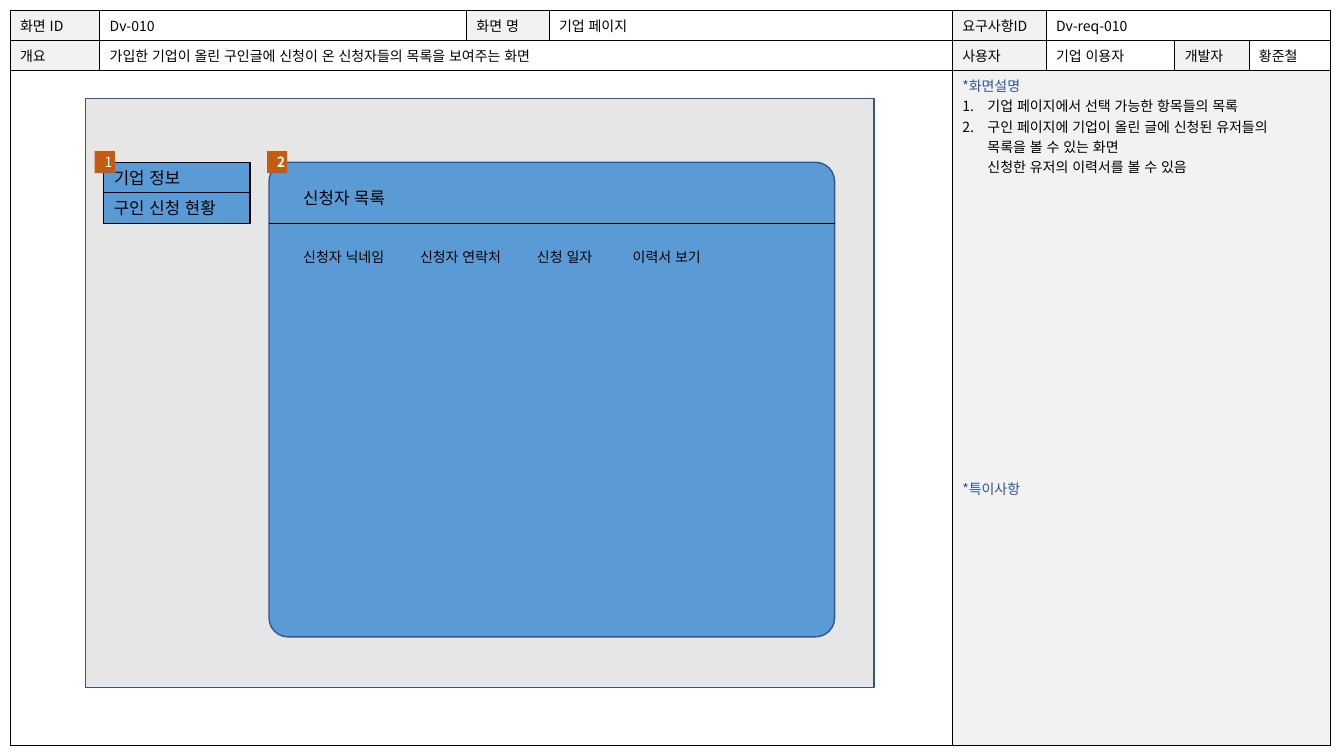
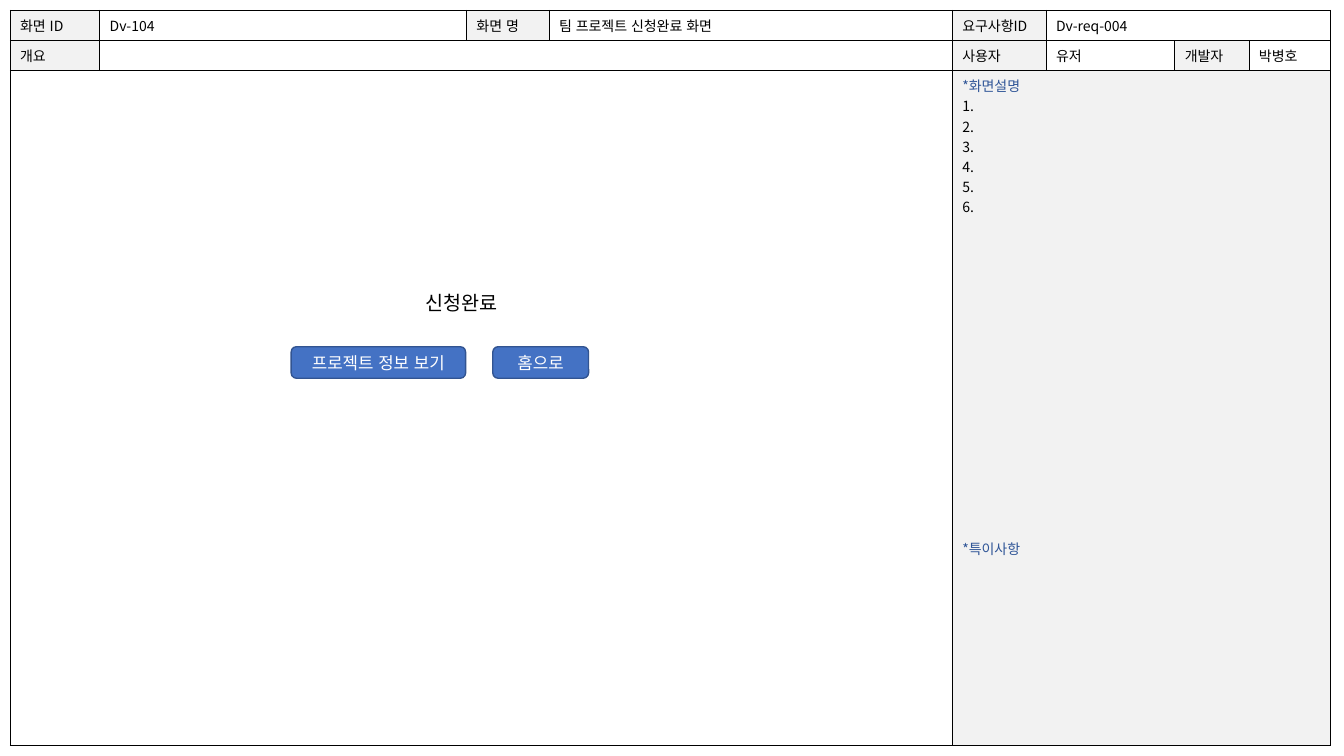
import pptx
import pptx.util
import pptx.dml.color
import pptx.enum.lang
import pptx.enum.shapes
import pptx.enum.text
import pptx.oxml
import pptx.oxml.ns
import lxml.etree

Pt = pptx.util.Pt
qn = pptx.oxml.ns.qn
SHAPE = pptx.enum.shapes.MSO_SHAPE
ALIGN = pptx.enum.text.PP_ALIGN
ANCHOR = pptx.enum.text.MSO_ANCHOR

FONT = "Noto Sans CJK KR"
COLORS = {
    "black": "000000", "white": "FFFFFF", "label": "F2F2F2", "heading": "2F5597",
    "screen": "E7E6E6", "panel": "5B9BD5", "outline": "325491",
    "badge": "C55A11", "button": "4472C4",
}
TABLE_BOX = (7.2, 7.2, 943.5, 525)
COLUMNS = [64, 262, 59, 288, 67, 92, 53, 58.5]
ROWS = [21.5, 21.5, 482]
MERGES = [((0, 5), (0, 7)), ((1, 1), (1, 3)), ((2, 0), (2, 3)), ((2, 4), (2, 7))]
LABELS = {
    (0, 0): "화면 ID", (0, 2): "화면 명", (0, 4): "요구사항ID",
    (1, 0): "개요", (1, 4): "사용자", (1, 6): "개발자",
}
VALUE_CELLS = [(0, 1), (0, 3), (0, 5), (1, 1), (1, 5), (1, 7)]
HEAVY_EDGES = {(2, 3): "R", (2, 4): "LB", (2, 5): "B", (2, 6): "B", (2, 7): "B"}


def rgb(name):
    return pptx.dml.color.RGBColor.from_string(COLORS[name])


def write(p, text, size=10, color="black", bold=False, align=ALIGN.LEFT):
    p.alignment = align
    for i, line in enumerate(text.split("\n")):
        if i:
            p.add_line_break()
        r = p.add_run()
        r.text = line
        r.font.color.rgb = rgb(color)
        values = {"size": Pt(size), "name": FONT, "bold": bold,
                  "language_id": pptx.enum.lang.MSO_LANGUAGE_ID.KOREAN}
        for key, value in values.items():
            setattr(r.font, key, value)
        ea = lxml.etree.SubElement(r.font._element, qn("a:ea"))
        ea.set("typeface", FONT)
    for br in p._p.findall(qn("a:br")):
        lxml.etree.SubElement(br, qn("a:rPr")).set("sz", str(size * 100))


def add_text(s, box, text, wrap=True, **style):
    sp = s.shapes.add_textbox(*map(Pt, box))
    sp.text_frame.word_wrap = wrap
    write(sp.text_frame.paragraphs[0], text, **style)


def add_box(s, kind, box, fill, line=None, width=1, text="", anchor=ANCHOR.MIDDLE, **style):
    sp = s.shapes.add_shape(kind, *map(Pt, box))
    sp.shadow.inherit = False
    sp.fill.solid()
    sp.fill.fore_color.rgb = rgb(fill)
    if line:
        sp.line.color.rgb = rgb(line)
        sp.line.width = Pt(width)
    else:
        sp.line.fill.background()
    if text:
        sp.text_frame.vertical_anchor = anchor
        write(sp.text_frame.paragraphs[0], text, **style)
    return sp


def add_borders(cell, heavy):
    tcPr = cell._tc.get_or_add_tcPr()
    for i, edge in enumerate("LRTB"):
        width = Pt(1 if edge in heavy else 0.5)
        tcPr.insert(i, pptx.oxml.parse_xml(
            f'<a:ln{edge} xmlns:a="http://schemas.openxmlformats.org/drawingml/2006/main" w="{width}">'
            f'<a:solidFill><a:srgbClr val="{COLORS["black"]}"/></a:solidFill></a:ln{edge}>'))


def add_description(tf, items, numbered, gap):
    write(tf.paragraphs[0], "*화면설명", color="heading")
    for item in items:
        p = tf.add_paragraph()
        write(p, item)
        if numbered:
            pPr = p._p.get_or_add_pPr()
            for key, value in {"marL": Pt(18), "indent": -Pt(18)}.items():
                pPr.set(key, str(value))
            lxml.etree.SubElement(pPr, qn("a:buFont")).set("typeface", FONT)
            lxml.etree.SubElement(pPr, qn("a:buAutoNum")).set("type", "arabicPeriod")
    p = tf.add_paragraph()
    p.space_before = Pt(gap)
    write(p, "*특이사항", color="heading")


def add_frame(s, box, values, items, gap, numbered=False):
    table = s.shapes.add_table(len(ROWS), len(COLUMNS), *map(Pt, box)).table
    table.first_row = table.horz_banding = False
    for column, width in zip(table.columns, COLUMNS):
        column.width = Pt(width)
    for row, height in zip(table.rows, ROWS):
        row.height = Pt(height)
    for first, last in MERGES:
        table.cell(*first).merge(table.cell(*last))
    texts = {**LABELS, **dict(zip(VALUE_CELLS, values))}
    for i in range(len(ROWS)):
        for j in range(len(COLUMNS)):
            cell = table.cell(i, j)
            shaded = (i, j) in LABELS or (i == 2 and j >= 4)
            cell.fill.solid()
            cell.fill.fore_color.rgb = rgb("label" if shaded else "white")
            add_borders(cell, HEAVY_EDGES.get((i, j), ""))
            p = cell.text_frame.paragraphs[0]
            if texts.get((i, j)):
                write(p, texts[i, j])
            elif (i, j) != (2, 4):
                lxml.etree.SubElement(p._p, qn("a:endParaRPr")).set("sz", "1000")
    add_description(table.cell(2, 4).text_frame, items, numbered, gap)


def add_menu(s, box, items):
    x, y, w, h = box
    step = h / len(items)
    for i, item in enumerate(items):
        add_box(s, SHAPE.RECTANGLE, (x, y + i * step, w, step), "panel", "black", 0.75,
                text=item, anchor=ANCHOR.TOP, size=12)


def add_applicants(s, box):
    x, y, w, h = box
    sp = add_box(s, SHAPE.ROUNDED_RECTANGLE, box, "panel", "outline")
    sp.adjustments[0] = 0.04
    add_text(s, (x + 17.3, y + 14.4, 83.5, 21.8), "신청자 목록", size=12)
    rule = s.shapes.add_connector(pptx.enum.shapes.MSO_CONNECTOR.STRAIGHT,
                                  Pt(x), Pt(y + 43.7), Pt(x + w), Pt(y + 43.7))
    rule.line.color.rgb = rgb("black")
    rule.line.width = Pt(0.5)
    lxml.etree.SubElement(rule._element.spPr, qn("a:effectLst"))
    headings = {"신청자 닉네임": 17.3, "신청자 연락처": 100.8, "신청 일자": 184.3, "이력서 보기": 252.7}
    for text, left in headings.items():
        add_text(s, (x + left, y + 58.3, 83.5, 20.2), text)


def add_company_page(s, box):
    x, y, w, h = box
    add_box(s, SHAPE.RECTANGLE, box, "screen", "outline")
    add_menu(s, (x + 13, y + 45.4, 104.4, 43.6), ["기업 정보", "구인 신청 현황"])
    add_applicants(s, (x + 131, y + 45.4, 404, 339))
    for text, left, bold in [("1", 6.5, False), ("2", 129.6, True)]:
        add_box(s, SHAPE.RECTANGLE, (x + left, y + 37.4, 14.4, 15.8), "badge",
                text=text, color="white", bold=bold, align=ALIGN.CENTER)


def add_completion(s, box):
    x, y, w, h = box
    add_text(s, (x + 88.6, y, 71.3, 24.5), "신청완료", wrap=False, size=14)
    for text, left, width in [("프로젝트 정보 보기", 0, 124.6), ("홈으로", 144, 68.4)]:
        add_box(s, SHAPE.ROUNDED_RECTANGLE, (x + left, y + h - 22.5, width, 22.5), "button",
                "outline", text=text, size=12, color="white", align=ALIGN.CENTER)


def main():
    prs = pptx.Presentation()
    prs.slide_width, prs.slide_height = Pt(960), Pt(540)
    blank = prs.slide_layouts[6]

    s = prs.slides.add_slide(blank)
    add_frame(s, TABLE_BOX,
              ["Dv-010", "기업 페이지", "Dv-req-010",
               "가입한 기업이 올린 구인글에 신청이 온 신청자들의 목록을 보여주는 화면",
               "기업 이용자", "황준철"],
              ["기업 페이지에서 선택 가능한 항목들의 목록",
               "구인 페이지에 기업이 올린 글에 신청된 유저들의\n목록을 볼 수 있는 화면\n신청한 유저의 이력서를 볼 수 있음"],
              gap=216, numbered=True)
    add_company_page(s, (61.2, 70.5, 563, 420.5))

    s = prs.slides.add_slide(blank)
    add_frame(s, TABLE_BOX,
              ["Dv-104", "팀 프로젝트 신청완료 화면", "Dv-req-004", "", "유저", "박병호"],
              [f"{n}." for n in range(1, 7)], gap=230)
    add_completion(s, (208, 204.5, 212.4, 65.7))

    prs.save("out.pptx")


if __name__ == "__main__":
    main()
